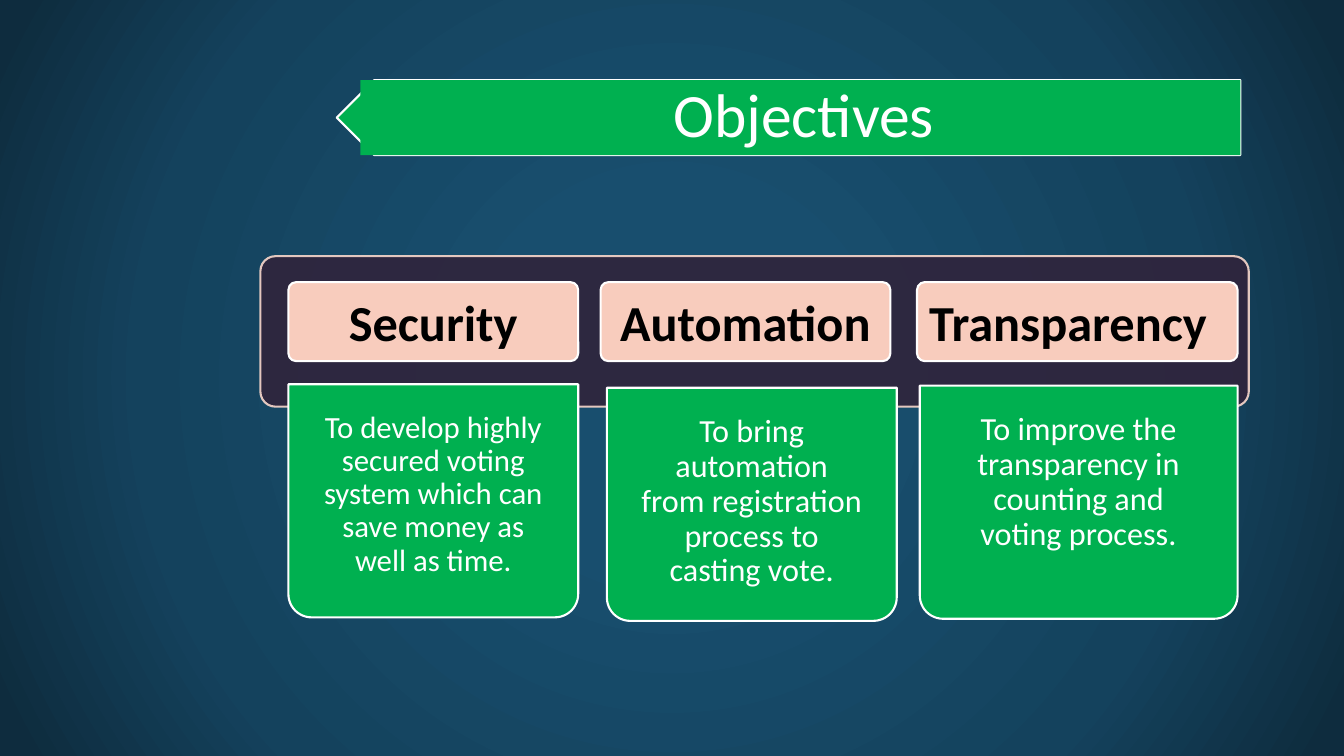
import pptx
import pptx.dml.color
import pptx.enum.shapes
import pptx.enum.text
import pptx.oxml
import pptx.oxml.ns
import pptx.util
import lxml.etree

Pt = pptx.util.Pt
KIND = pptx.enum.shapes.MSO_SHAPE
ALIGN = pptx.enum.text.PP_ALIGN
ANCHOR = pptx.enum.text.MSO_ANCHOR
qn = pptx.oxml.ns.qn

HUES = {
    "green": "00B050", "white": "FFFFFF", "black": "000000",
    "panel": "30243C", "edge": "F9D8CC", "peach": "F8CCBD",
    "core": "184E6E", "mid": "14425D", "rim": "0E2C3E",
}
STOPS = [(0, "core"), (23, "core"), (69, "mid"), (97, "rim")]
TITLE = {"size": Pt(44), "name": "Calibri"}
HEAD = {"size": Pt(36), "name": "Calibri", "bold": True}
CARDS = [
    ("Security", (20, 207), (20, 207), 91.5, ALIGN.CENTER, 22,
     "To develop highly secured voting system which can save money as well as time."),
    ("Automation", (243, 207), (247.5, 207), 94, ALIGN.CENTER, 23,
     "To bring automation from registration process to casting vote."),
    ("Transparency", (469, 229), (471, 227), 92.5, ALIGN.LEFT, 23,
     "To improve the transparency in counting and voting process."),
]


def tint(hue):
    return pptx.dml.color.RGBColor.from_string(HUES[hue])


def fade(fill, share):
    for clr in fill.iter(qn("a:srgbClr")):
        lxml.etree.SubElement(clr, qn("a:alpha"), val=str(share * 1000))


def draw(slide, kind, box, fill, line=None, round=()):
    shape = slide.shapes.add_shape(kind, *[Pt(n) for n in box])
    shape.shadow.inherit = False
    shape.fill.solid()
    shape.fill.fore_color.rgb = tint(fill)
    if line:
        shape.line.color.rgb = tint(line)
        shape.line.width = Pt(1.5)
    else:
        shape.line.fill.background()
    for spot, part in enumerate(round):
        shape.adjustments[spot] = part
    return shape


def write(shape, text, font, hue, frame, para):
    body = shape.text_frame
    body.word_wrap = True
    for key, val in frame.items():
        setattr(body, key, val)
    line = body.paragraphs[0]
    for key, val in para.items():
        setattr(line, key, val)
    run = line.add_run()
    run.text = text
    for key, val in font.items():
        setattr(run.font, key, val)
    run.font.color.rgb = tint(hue)


def paint(slide):
    slide.background.fill.gradient()
    grad = next(slide.element.iter(qn("a:gradFill")))
    for part in list(grad):
        grad.remove(part)
    stops = lxml.etree.SubElement(grad, qn("a:gsLst"))
    for spot, hue in STOPS:
        stop = lxml.etree.SubElement(stops, qn("a:gs"), pos=str(spot * 1000))
        lxml.etree.SubElement(stop, qn("a:srgbClr"), val=HUES[hue])
    ring = lxml.etree.SubElement(grad, qn("a:path"), path="circle")
    lxml.etree.SubElement(ring, qn("a:fillToRect"),
                          **{side: "50000" for side in "ltrb"})


def banner(slide, box):
    left, top, wide, high = box
    arrow = draw(slide, KIND.PENTAGON, box, "green", "white")
    arrow.rotation = 180
    label = draw(slide, KIND.RECTANGLE, (left + 17, top, wide - 17, high), "green")
    frame = {"vertical_anchor": ANCHOR.MIDDLE, "margin_left": Pt(19.5),
             "margin_right": Pt(14.5), "margin_top": Pt(8), "margin_bottom": Pt(8)}
    write(label, "Objectives", TITLE, "white", frame,
          {"alignment": ALIGN.CENTER, "line_spacing": 0.9})


def card(slide, left, top, data):
    name, head, note, drop, side, size, text = data
    tab = draw(slide, KIND.ROUNDED_RECTANGLE,
               (left + head[0], top + 18.5, head[1], 56.5), "peach", "white", [0.1])
    write(tab, name, HEAD, "black", {"vertical_anchor": ANCHOR.MIDDLE},
          {"alignment": side})
    sheet = draw(slide, KIND.ROUND_2_SAME_RECTANGLE,
                 (left + note[0], top + drop, note[1], 166.5),
                 "green", "white", [0, 0.1])
    frame = {f"margin_{edge}": Pt(19.5) for edge in ("left", "right", "top", "bottom")}
    frame["vertical_anchor"] = ANCHOR.TOP
    write(sheet, text, {"size": Pt(size), "name": "Calibri"}, "white", frame,
          {"alignment": ALIGN.CENTER, "line_spacing": 0.9})


def board(slide, box):
    back = draw(slide, KIND.ROUNDED_RECTANGLE, box, "panel", "edge", [0.1])
    fade(back.element.spPr, 90)
    for data in CARDS:
        card(slide, box[0], box[1], data)


def main():
    deck = pptx.Presentation()
    deck.slide_width, deck.slide_height = Pt(960), Pt(540)
    slide = deck.slides.add_slide(deck.slide_layouts[6])
    paint(slide)
    banner(slide, (240.5, 57.25, 645.5, 53.5))
    board(slide, (186, 183, 706, 107.5))
    deck.save("out.pptx")


if __name__ == "__main__":
    main()
